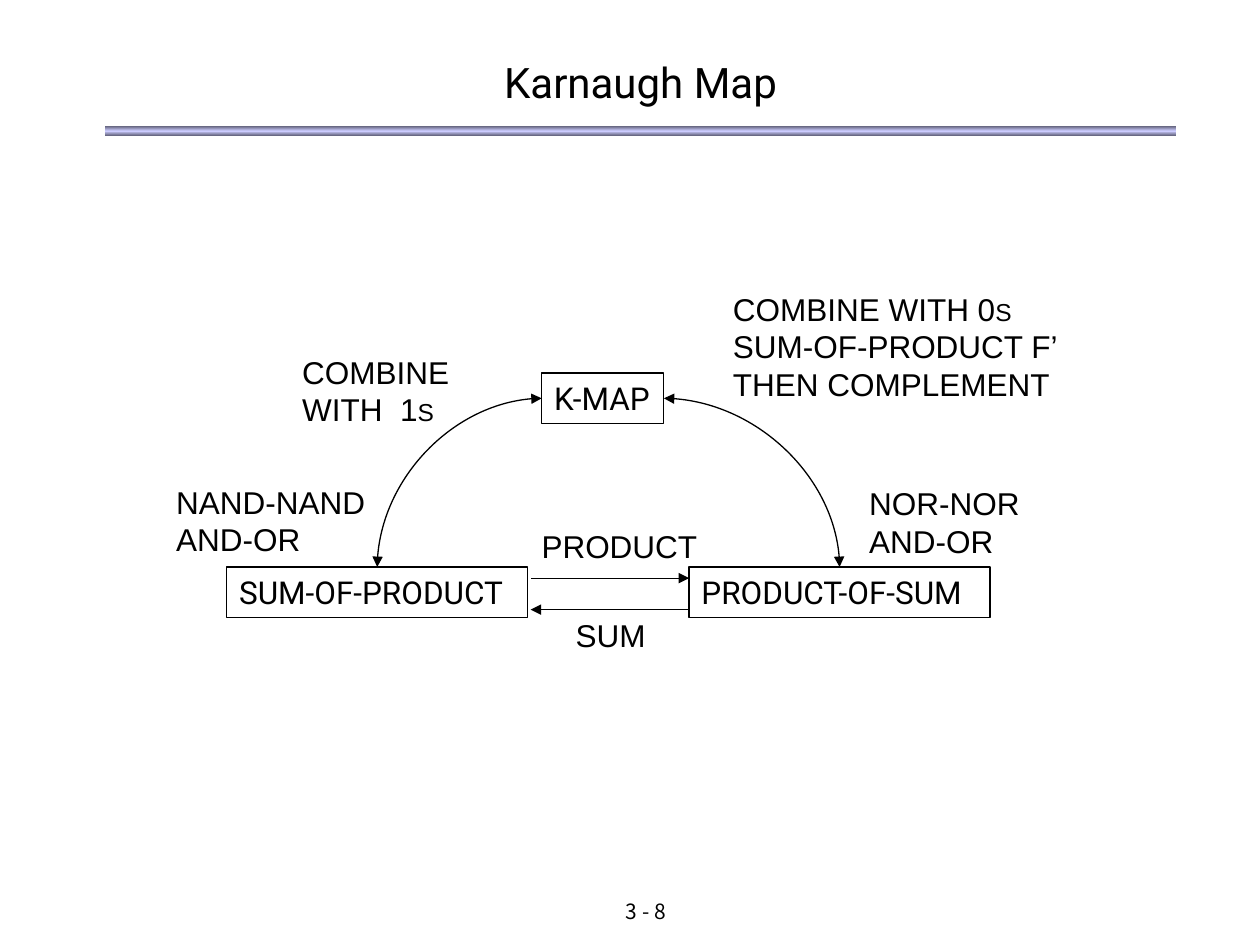
from copy import deepcopy
from dataclasses import dataclass

from lxml.etree import SubElement
from pptx import Presentation
from pptx.dml.color import RGBColor
from pptx.enum.shapes import MSO_CONNECTOR, MSO_SHAPE
from pptx.enum.text import MSO_ANCHOR, PP_ALIGN
from pptx.oxml.ns import qn
from pptx.util import Pt


@dataclass(frozen=True)
class Theme:
    ink: RGBColor = RGBColor(0, 0, 0)
    edge: RGBColor = RGBColor(0x5E, 0x5E, 0x76)
    glow: RGBColor = RGBColor(0xCC, 0xCC, 0xFF)
    head: str = "Roboto"
    body: str = "Arial"
    foot: str = "Noto Sans CJK KR"
    title: int = 24
    text: int = 18
    small: int = 14
    page: int = 12
    lead: float = 21.6
    line: float = 0.75


THEME = Theme()


def apply(item, values):
    for name, value in values.items():
        setattr(item, name, value)


def place(shape, left, top, width, height):
    apply(shape, {"left": Pt(left), "top": Pt(top),
                  "width": Pt(width), "height": Pt(height)})


def write(shape, lines, face, size, align=PP_ALIGN.LEFT, lead=None,
          pad=(7.2, 3.6, 0, 3.6), anchor=MSO_ANCHOR.TOP):
    frame = shape.text_frame
    left, top, right, low = map(Pt, pad)
    apply(frame, {"word_wrap": True, "vertical_anchor": anchor,
                  "margin_left": left, "margin_top": top,
                  "margin_right": right, "margin_bottom": low})
    for i, line in enumerate(lines):
        para = frame.add_paragraph() if i else frame.paragraphs[0]
        apply(para, {"alignment": align,
                     "line_spacing": Pt(lead) if lead else None})
        runs = [(line, size)] if isinstance(line, str) else line
        for words, points in runs:
            run = para.add_run()
            run.text = words
            apply(run.font, {"name": face, "size": Pt(points)})
            run.font.color.rgb = THEME.ink


def add_title(slide, words):
    title = slide.shapes.title
    place(title, 60, 31.5, 612, 30)
    write(title, [words], THEME.head, THEME.title, PP_ALIGN.CENTER,
          pad=(0, 0, 0, 0), anchor=MSO_ANCHOR.MIDDLE)


def add_rule(slide):
    rule = slide.shapes.add_shape(
        MSO_SHAPE.RECTANGLE, Pt(60), Pt(72), Pt(612), Pt(5.76))
    rule.shadow.inherit = False
    rule.line.fill.background()
    rule.fill.gradient()
    rule.fill.gradient_angle = 90
    stops = next(rule._element.spPr.iter(qn("a:gsLst")))
    stops.insert(1, deepcopy(stops[0]))
    marks = ((0, THEME.edge), (0.5, THEME.glow), (1, THEME.edge))
    for stop, (spot, tint) in zip(rule.fill.gradient_stops, marks):
        stop.position = spot
        stop.color.rgb = tint


def add_box(slide, words, left, top, width):
    box = slide.shapes.add_shape(
        MSO_SHAPE.RECTANGLE, Pt(left), Pt(top), Pt(width), Pt(28.8))
    box.shadow.inherit = False
    box.fill.background()
    box.line.color.rgb = THEME.ink
    box.line.width = Pt(THEME.line)
    write(box, [words], THEME.head, THEME.text, lead=THEME.lead)
    return box


def add_label(slide, lines, left, top, width):
    height = THEME.lead * len(lines) + 7.2
    label = slide.shapes.add_textbox(
        Pt(left), Pt(top), Pt(width), Pt(height))
    write(label, lines, THEME.body, THEME.text, lead=THEME.lead)


def add_page(slide, words):
    page = slide.shapes.add_textbox(Pt(294), Pt(510), Pt(150), Pt(18))
    write(page, [words], THEME.foot, THEME.page, PP_ALIGN.CENTER,
          pad=(7.2, 3.6, 7.2, 3.6))


def draw(slide, kind, start, end, tips):
    link = slide.shapes.add_connector(kind, *map(Pt, (*start, *end)))
    link.line.color.rgb = THEME.ink
    link.line.width = Pt(THEME.line)
    for tip in tips:
        SubElement(link.line._get_or_add_ln(), qn(tip), type="triangle")
    SubElement(link._element.spPr, qn("a:effectLst"))
    return link


def add_arrow(slide, y, start, end):
    draw(slide, MSO_CONNECTOR.STRAIGHT, (start, y), (end, y), ["a:tailEnd"])


def add_curve(slide, top, side, base):
    start = (top.left + (side == 3) * top.width, top.top + top.height // 2)
    end = (base.left + base.width // 2, base.top)
    link = draw(slide, MSO_CONNECTOR.CURVE,
                [n / Pt(1) for n in start], [n / Pt(1) for n in end],
                ["a:headEnd", "a:tailEnd"])
    link._element.spPr.find(qn("a:prstGeom")).set("prst", "curvedConnector2")
    link.begin_connect(top, side)
    link.end_connect(base, 0)


def main():
    deck = Presentation()
    apply(deck, {"slide_width": Pt(720), "slide_height": Pt(540)})
    slide = deck.slides.add_slide(deck.slide_layouts[5])
    add_rule(slide)
    add_title(slide, "Karnaugh Map")
    add_page(slide, "3 - 8")

    sums = add_box(slide, "SUM-OF-PRODUCT", 129.6, 324, 172)
    prods = add_box(slide, "PRODUCT-OF-SUM", 393.8, 324, 172)
    kmap = add_box(slide, "K-MAP", 309.6, 213.2, 69.8)
    add_arrow(slide, 330.4, 303.6, 393.8)
    add_arrow(slide, 348.4, 393.4, 303.2)
    add_curve(slide, kmap, 1, sums)
    add_curve(slide, kmap, 3, prods)

    labels = (
        (["PRODUCT"], 302.4, 297.4, 103),
        (["SUM"], 321.8, 348.5, 54),
        (["NOR-NOR", "AND-OR"], 489.6, 272.9, 100),
        (["NAND-NAND", "AND-OR"], 93.6, 272.2, 122.4),
        (["COMBINE", [("WITH  1", THEME.text), ("S", THEME.small)]],
         165.6, 198, 98),
        ([[("COMBINE WITH 0", THEME.text), ("S", THEME.small)],
          "SUM-OF-PRODUCT F’", "THEN COMPLEMENT"], 411.8, 162, 200),
    )
    for label in labels:
        add_label(slide, *label)
    deck.save("out.pptx")


if __name__ == "__main__":
    main()
